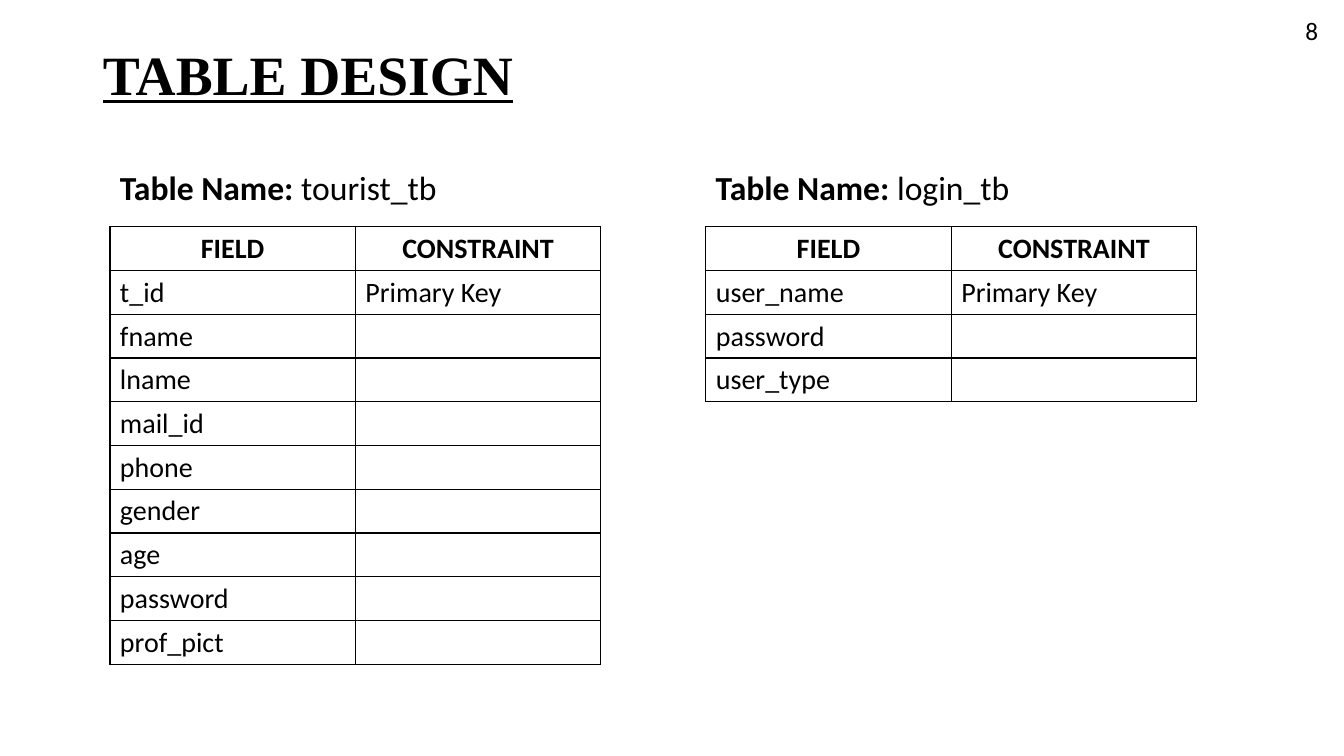
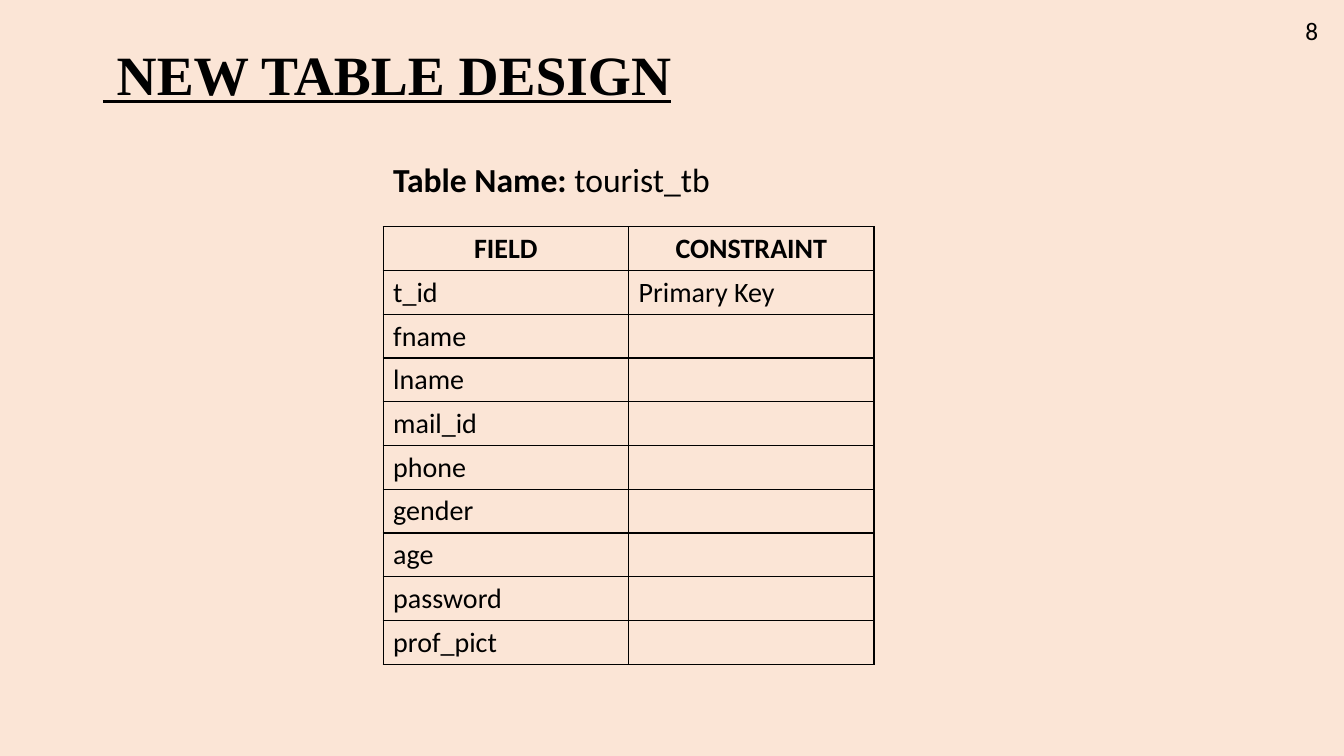
from dataclasses import dataclass

from lxml.etree import SubElement
from pptx import Presentation
from pptx.dml.color import RGBColor
from pptx.enum.text import MSO_ANCHOR, MSO_AUTO_SIZE, PP_ALIGN
from pptx.oxml.ns import qn
from pptx.util import Inches, Pt


@dataclass(frozen=True)
class Theme:
    ink: str = "000000"
    white: str = "FFFFFF"
    peach: str = "FBE5D6"
    title_font: str = "Times New Roman"
    body_font: str = "Calibri"
    title_size: float = 39.6
    caption_size: float = 24
    cell_size: float = 20
    number_size: float = 18
    border: float = 1


THEME = Theme()
TITLE_ONLY = 5
TABLE_TOP, TABLE_WIDTH, ROW_HEIGHT = 2.25, 4.87, 0.41
HEADER = ("FIELD", "CONSTRAINT")
PRIMARY_KEY = "Primary Key"
TOURIST_FIELDS = ("t_id", "fname", "lname", "mail_id", "phone",
                  "gender", "age", "password", "prof_pict")
LOGIN_FIELDS = ("user_name", "password", "user_type")


def add_run(p, text, size, font=THEME.body_font, bold=False, underline=False):
    r = p.add_run()
    r.text = text
    r.font.size = Pt(size)
    r.font.name = font
    r.font.bold = bold
    r.font.underline = underline
    r.font.color.rgb = RGBColor.from_string(THEME.ink)


def add_text_box(slide, left, top, width, height, wrap=True):
    """Add a text box and return its first paragraph."""
    tf = slide.shapes.add_textbox(
        Inches(left), Inches(top), Inches(width), Inches(height)).text_frame
    tf.word_wrap = wrap
    tf.auto_size = MSO_AUTO_SIZE.SHAPE_TO_FIT_TEXT
    return tf.paragraphs[0]


def format_cell(cell):
    """Outline a cell on all four sides and leave it unfilled."""
    tc_pr = cell._tc.get_or_add_tcPr()
    for side in ("a:lnL", "a:lnR", "a:lnT", "a:lnB"):
        ln = SubElement(tc_pr, qn(side), w=str(Pt(THEME.border)))
        fill = SubElement(ln, qn("a:solidFill"))
        SubElement(fill, qn("a:srgbClr"), val=THEME.ink)
    cell.fill.background()


def add_schema(slide, left, caption_top, name, fields):
    """Place a table name and, below it, the fields; the first is the key."""
    # Caption
    p = add_text_box(slide, left, caption_top, 4.42, 0.5)
    add_run(p, "Table Name: ", THEME.caption_size, bold=True)
    add_run(p, name, THEME.caption_size)

    # Field table
    rows = [HEADER] + [(field, "" if i else PRIMARY_KEY)
                       for i, field in enumerate(fields)]
    table = slide.shapes.add_table(
        len(rows), len(HEADER), Inches(left), Inches(TABLE_TOP),
        Inches(TABLE_WIDTH), Inches(ROW_HEIGHT * len(rows))).table
    table.first_row = table.horz_banding = False
    for i, row in enumerate(rows):
        for j, text in enumerate(row):
            cell = table.cell(i, j)
            format_cell(cell)
            p = cell.text_frame.paragraphs[0]
            p.alignment = PP_ALIGN.LEFT if i else PP_ALIGN.CENTER
            p.font.size = Pt(THEME.cell_size)
            if text:
                add_run(p, text, THEME.cell_size, bold=i == 0)


def add_title(slide, text):
    sp = slide.shapes.title
    sp.left, sp.top = Inches(0.92), Inches(0.4)
    sp.width, sp.height = Inches(11.33), Inches(0.74)
    tf = sp.text_frame
    tf.word_wrap = True
    tf.auto_size = MSO_AUTO_SIZE.NONE
    tf.vertical_anchor = MSO_ANCHOR.MIDDLE
    p = tf.paragraphs[0]
    p.alignment = PP_ALIGN.LEFT
    p.line_spacing = 0.9
    add_run(p, text, THEME.title_size, THEME.title_font,
            bold=True, underline=True)


def add_design_slide(prs, title, number, background, schemas):
    """Build one slide from its title, page number and schema panels."""
    slide = prs.slides.add_slide(prs.slide_layouts[TITLE_ONLY])
    fill = slide.background.fill
    fill.solid()
    fill.fore_color.rgb = RGBColor.from_string(background)
    add_title(slide, title)
    for schema in schemas:
        add_schema(slide, *schema)
    # Page number
    p = add_text_box(slide, 12.85, 0.1, 0.33, 0.4, wrap=False)
    add_run(p, number, THEME.number_size)


def main():
    prs = Presentation()
    prs.slide_width, prs.slide_height = Inches(13.33), Inches(7.5)
    add_design_slide(prs, "TABLE DESIGN", "8", THEME.white, [
        (1.09, 1.61, "tourist_tb", TOURIST_FIELDS),
        (7, 1.61, "login_tb", LOGIN_FIELDS),
    ])
    add_design_slide(prs, " NEW TABLE DESIGN", "8", THEME.peach, [
        (3.8, 1.53, "tourist_tb", TOURIST_FIELDS),
    ])
    prs.save("out.pptx")


if __name__ == "__main__":
    main()
